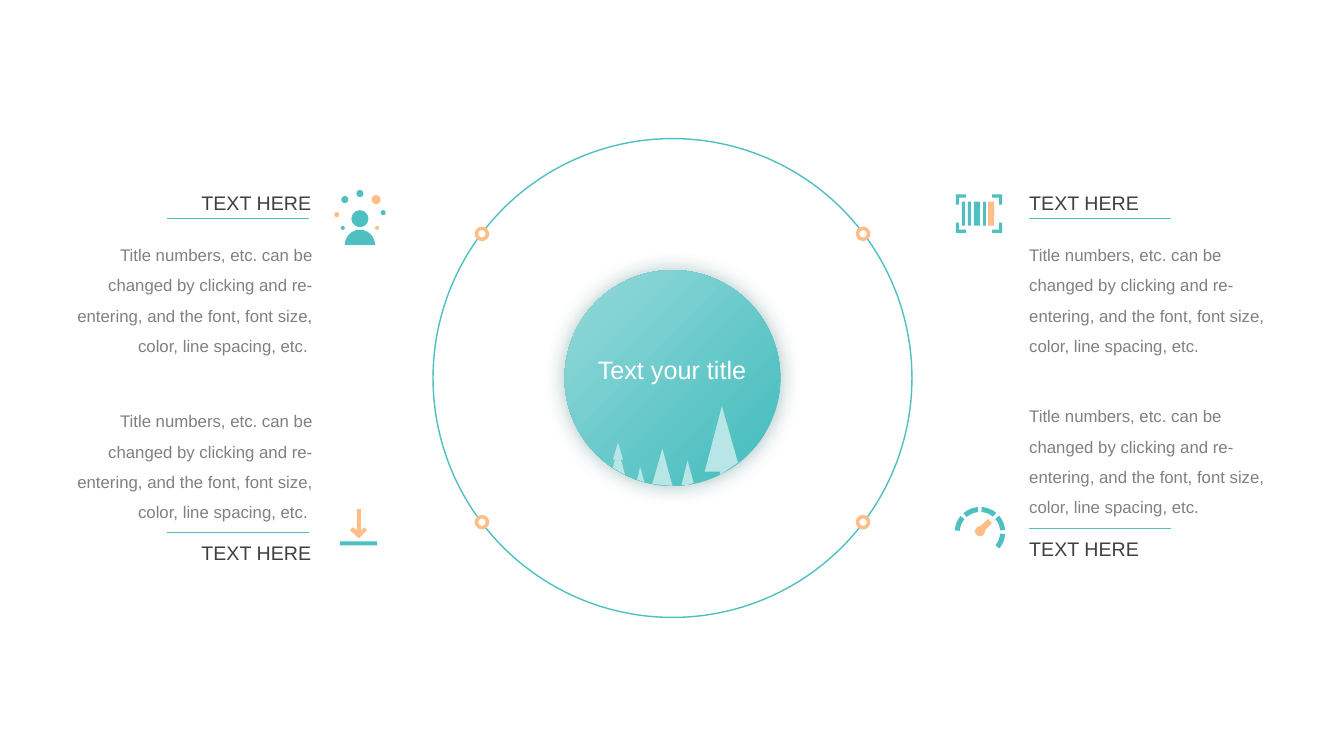
from itertools import product
from math import cos, radians, sin

from lxml.etree import SubElement
from pptx import Presentation
from pptx.dml.color import RGBColor
from pptx.enum.shapes import MSO_CONNECTOR as Connector, MSO_SHAPE as Shape
from pptx.enum.text import PP_ALIGN as Align
from pptx.oxml import parse_xml
from pptx.oxml.ns import nsdecls, qn
from pptx.util import Inches, Pt

TEAL, ORANGE, WHITE = "4EC0C1", "FFBD87", "FFFFFF"
CENTER_X, CENTER_Y = 6.67, 3.75
BODY = ("Title numbers, etc. can be changed by clicking and re-entering, "
        "and the font, font size, color, line spacing, etc.")


def color(value):
    return RGBColor.from_string(value)


def paint(shape, fill=None, line=None, width=1):
    shape.shadow.inherit = False
    if fill:
        shape.fill.solid()
        shape.fill.fore_color.rgb = color(fill)
    else:
        shape.fill.background()
    if line:
        shape.line.color.rgb = color(line)
        shape.line.width = Pt(width)
    else:
        shape.line.fill.background()


def add_circle(shapes, x, y, radius, **style):
    circle = shapes.add_shape(Shape.OVAL, Inches(x - radius), Inches(y - radius),
                              Inches(2 * radius), Inches(2 * radius))
    paint(circle, **style)
    return circle


def add_bar(shapes, left, top, width, height, fill):
    bar = shapes.add_shape(Shape.RECTANGLE, Inches(left), Inches(top), Inches(width), Inches(height))
    paint(bar, fill)


def add_outline(shapes, outlines, fill):
    builder = None
    for outline in outlines:
        points = [(Inches(x), Inches(y)) for x, y in outline]
        if builder is None:
            builder = shapes.build_freeform(*points[0])
        else:
            builder.move_to(*points[0])
        builder.add_line_segments(points[1:], close=True)
    paint(builder.convert_to_shape(), fill)


def arc_points(x, y, radius, start, end):
    step = (end - start) / 24
    angles = [radians(start + step * index) for index in range(25)]
    return [(x + radius * cos(angle), y - radius * sin(angle)) for angle in angles]


def add_text(shapes, text, left, top, width, height, size, fill,
             align=Align.LEFT, spacing=None, wrap=False):
    frame = shapes.add_textbox(Inches(left), Inches(top), Inches(width), Inches(height)).text_frame
    frame.word_wrap = wrap
    paragraph = frame.paragraphs[0]
    paragraph.text = text
    paragraph.alignment = align
    paragraph.line_spacing = spacing
    paragraph.font.name = "Arial"
    paragraph.font.size = Pt(size)
    paragraph.font.color.rgb = color(fill)


def add_rule(shapes, left, y):
    rule = shapes.add_connector(Connector.STRAIGHT, Inches(left), Inches(y), Inches(left + 1.4), Inches(y))
    rule.line.color.rgb = color(TEAL)
    rule.line.width = Pt(0.5)
    SubElement(rule._element.spPr, qn("a:effectLst"))


def add_center_disc(shapes):
    disc = add_circle(shapes, CENTER_X, CENTER_Y, 1.07)
    disc.fill.gradient()
    for stop, position, value in zip(disc.fill.gradient_stops, (0, 0.84), ("95D9DA", TEAL)):
        stop.position = position
        stop.color.rgb = color(value)
    properties = disc._element.spPr
    gradient = properties.find(qn("a:gradFill"))
    gradient.replace(gradient.find(qn("a:lin")), parse_xml(
        f'<a:path {nsdecls("a")} path="circle"><a:fillToRect r="100000" b="100000"/></a:path>'))
    properties.find(qn("a:effectLst")).append(parse_xml(
        f'<a:outerShdw {nsdecls("a")} blurRad="{Pt(15)}" dist="0" dir="0" algn="ctr" rotWithShape="0">'
        '<a:srgbClr val="236464"><a:alpha val="40000"/></a:srgbClr></a:outerShdw>'))


def add_trees(shapes):
    add_outline(shapes, [
        [(6.35, 4.63), (6.39, 4.78), (6.32, 4.76)],
        [(6.82, 4.57), (6.88, 4.79), (6.82, 4.81), (6.76, 4.81)],
        [(6.57, 4.45), (6.67, 4.82), (6.56, 4.81), (6.47, 4.8)],
        [(6.13, 4.39), (6.18, 4.56), (6.16, 4.56), (6.2, 4.71), (6.16, 4.69),
         (6.08, 4.64), (6.1, 4.56), (6.08, 4.56)],
        [(7.16, 4.03), (7.32, 4.59), (7.26, 4.63), (7.19, 4.68), (7.14, 4.71),
         (7.14, 4.68), (6.99, 4.68)],
    ], "B8E6E6")


def add_barcode_icon(shapes):
    for side_x, side_y in product((-1, 1), repeat=2):
        corner = [(0, 0), (0, 0.1), (0.03, 0.1), (0.03, 0.03), (0.1, 0.03), (0.1, 0)]
        add_outline(shapes, [[(9.71 + side_x * (0.23 - x), 2.12 + side_y * (0.19 - y))
                              for x, y in corner]], TEAL)
    for left, width, fill in [(9.54, 0.03, TEAL), (9.6, 0.03, TEAL), (9.66, 0.06, TEAL),
                              (9.75, 0.03, TEAL), (9.8, 0.06, ORANGE)]:
        add_bar(shapes, left, 2, width, 0.24, fill)


def add_person_icon(shapes):
    for x, y, radius, fill in [
        (3.57, 1.92, 0.035, TEAL), (3.73, 1.98, 0.045, ORANGE), (3.42, 1.98, 0.035, TEAL),
        (3.57, 2.17, 0.085, TEAL), (3.8, 2.11, 0.025, TEAL), (3.34, 2.13, 0.025, ORANGE),
        (3.4, 2.26, 0.02, TEAL), (3.74, 2.26, 0.02, ORANGE),
    ]:
        add_circle(shapes, x, y, radius, fill=fill)
    add_outline(shapes, [arc_points(3.57, 2.43, 0.15, 0, 180)], TEAL)


def add_gauge_icon(shapes):
    for start in range(-40, 176, 45):
        outer = arc_points(9.72, 5.28, 0.25, start, start + 36)
        inner = arc_points(9.72, 5.28, 0.2, start + 36, start)
        add_outline(shapes, [outer + inner], TEAL)
    add_circle(shapes, 9.72, 5.27, 0.05, fill=ORANGE)
    add_outline(shapes, [[(9.71, 5.23), (9.8, 5.15), (9.84, 5.19), (9.76, 5.27)]], ORANGE)


def add_download_icon(shapes):
    add_outline(shapes, [[(3.54, 5.05), (3.54, 5.26), (3.5, 5.23), (3.47, 5.26), (3.56, 5.34),
                          (3.64, 5.26), (3.61, 5.23), (3.58, 5.27), (3.58, 5.05)]], ORANGE)
    add_bar(shapes, 3.37, 5.37, 0.37, 0.04, TEAL)


def main():
    presentation = Presentation()
    presentation.slide_width, presentation.slide_height = Inches(13.33), Inches(7.5)
    slide = presentation.slides.add_slide(presentation.slide_layouts[6])
    shapes = slide.shapes

    add_center_disc(shapes)
    add_circle(shapes, CENTER_X, CENTER_Y, 2.375, line=TEAL)
    add_trees(shapes)
    add_text(shapes, "Text your title", 5.82, 3.47, 1.69, 0.4, 18, WHITE, Align.CENTER)

    left_side = (1.9, 1.66, 0.64, Align.RIGHT, BODY + " ")
    right_side = (10.11, 10.21, 10.11, Align.LEFT, BODY)
    for side, heading_y, rule_y, body_y in [
        (left_side, 1.84, 2.17, 2.28), (left_side, 5.32, 5.28, 3.93),
        (right_side, 1.84, 2.17, 2.28), (right_side, 5.28, 5.24, 3.88),
    ]:
        heading_x, rule_x, body_x, align, body = side
        add_text(shapes, "TEXT HERE", heading_x, heading_y, 1.3, 0.34, 14, "404040")
        add_rule(shapes, rule_x, rule_y)
        add_text(shapes, body, body_x, body_y, 2.56, 1.28, 12, "808080", align, 1.5, True)

    for add_icon in (add_barcode_icon, add_person_icon, add_gauge_icon, add_download_icon):
        add_icon(shapes.add_group_shape().shapes)

    for side_y, side_x in product((-1, 1), repeat=2):
        add_circle(shapes, CENTER_X + side_x * 1.89, CENTER_Y + side_y * 1.43, 0.055,
                   fill=WHITE, line=ORANGE, width=2.5)

    presentation.save("out.pptx")


if __name__ == "__main__":
    main()
